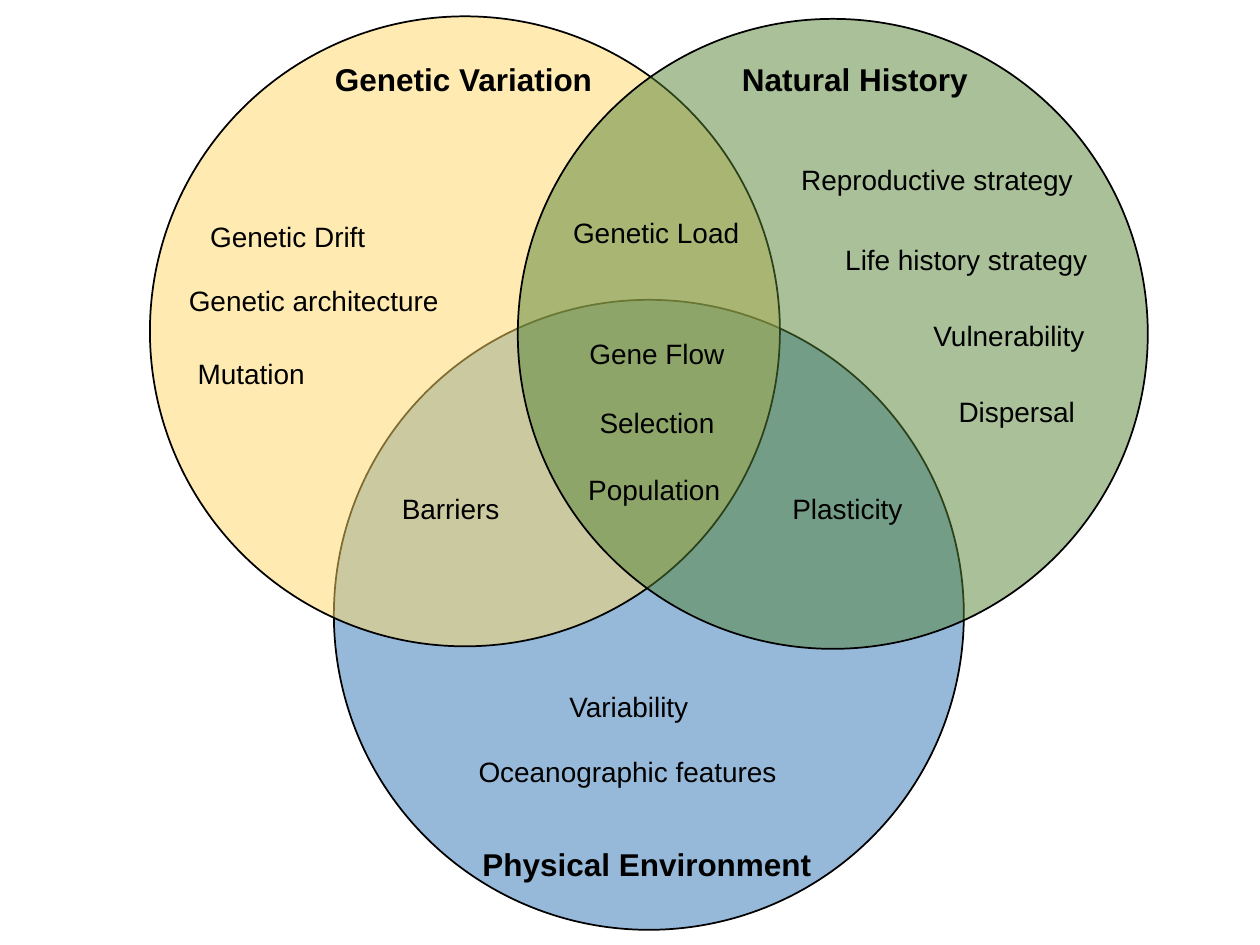
from lxml import etree
from pptx import Presentation
from pptx.dml.color import RGBColor
from pptx.enum.shapes import MSO_SHAPE
from pptx.enum.text import MSO_AUTO_SIZE
from pptx.oxml.ns import qn
from pptx.util import Pt

OVAL = MSO_SHAPE.OVAL
GROW = MSO_AUTO_SIZE.SHAPE_TO_FIT_TEXT
PX = 9144
WIDTH, HEIGHT = 1000, 750
DIAMETER = 500
COLORS = {
    "ink": "000000",
    "environment": "2E75B6",
    "genetics": "FFD966",
    "history": "548235",
}

CIRCLES = [
    ("environment", 265, 238),
    ("genetics", 119, 13),
    ("history", 411, 15),
]
HEADINGS = [
    ("Genetic Variation", 256, 43, 226),
    ("Natural History", 579, 43, 201),
    ("Physical Environment", 373, 666, 284),
]
FACTORS = [
    ("Genetic Drift", 157, 169, 145),
    ("Genetic architecture", 140, 220, 221),
    ("Mutation", 147, 278, 106),
    ("Genetic Load", 445, 166, 154),
    ("Gene Flow", 458, 262, 129),
    ("Selection", 466, 317, 112),
    ("Population", 457, 370, 126),
    ("Reproductive strategy", 626, 124, 238),
    ("Life history strategy", 661, 188, 215),
    ("Vulnerability", 731, 248, 141),
    ("Dispersal", 751, 308, 113),
    ("Barriers", 309, 385, 99),
    ("Plasticity", 619, 385, 109),
    ("Variability", 442, 542, 115),
    ("Oceanographic features", 370, 594, 260),
]


def rgb(name):
    return RGBColor.from_string(COLORS[name])


def write(frame, text, size=16, bold=False, color="ink", font="Arial"):
    run = frame.paragraphs[0].add_run()
    run.text = text
    run.font.name = font
    run.font.size = Pt(size)
    run.font.bold = bold
    run.font.color.rgb = rgb(color)


class VennSlide:
    def __init__(self, slide):
        self.slide = slide

    def circle(self, color, left, top, opacity=50):
        oval = self.slide.shapes.add_shape(
            OVAL, left * PX, top * PX, DIAMETER * PX, DIAMETER * PX)
        oval.shadow.inherit = False
        oval.fill.solid()
        oval.fill.fore_color.rgb = rgb(color)
        tint = oval.fill._xPr.find(qn("a:solidFill"))[0]
        etree.SubElement(tint, qn("a:alpha")).set("val", str(opacity * 1000))
        oval.line.color.rgb = rgb("ink")
        oval.line.width = Pt(1)

    def label(self, text, left, top, width, height=37, **style):
        box = self.slide.shapes.add_textbox(
            left * PX, top * PX, width * PX, height * PX)
        frame = box.text_frame
        frame.word_wrap = False
        frame.auto_size = GROW
        write(frame, text, **style)


def main():
    deck = Presentation()
    deck.slide_width, deck.slide_height = WIDTH * PX, HEIGHT * PX
    venn = VennSlide(deck.slides.add_slide(deck.slide_layouts[6]))
    for circle in CIRCLES:
        venn.circle(*circle)
    for heading in HEADINGS:
        venn.label(*heading, height=40, size=18, bold=True)
    for factor in FACTORS:
        venn.label(*factor)
    deck.save("out.pptx")


if __name__ == "__main__":
    main()
